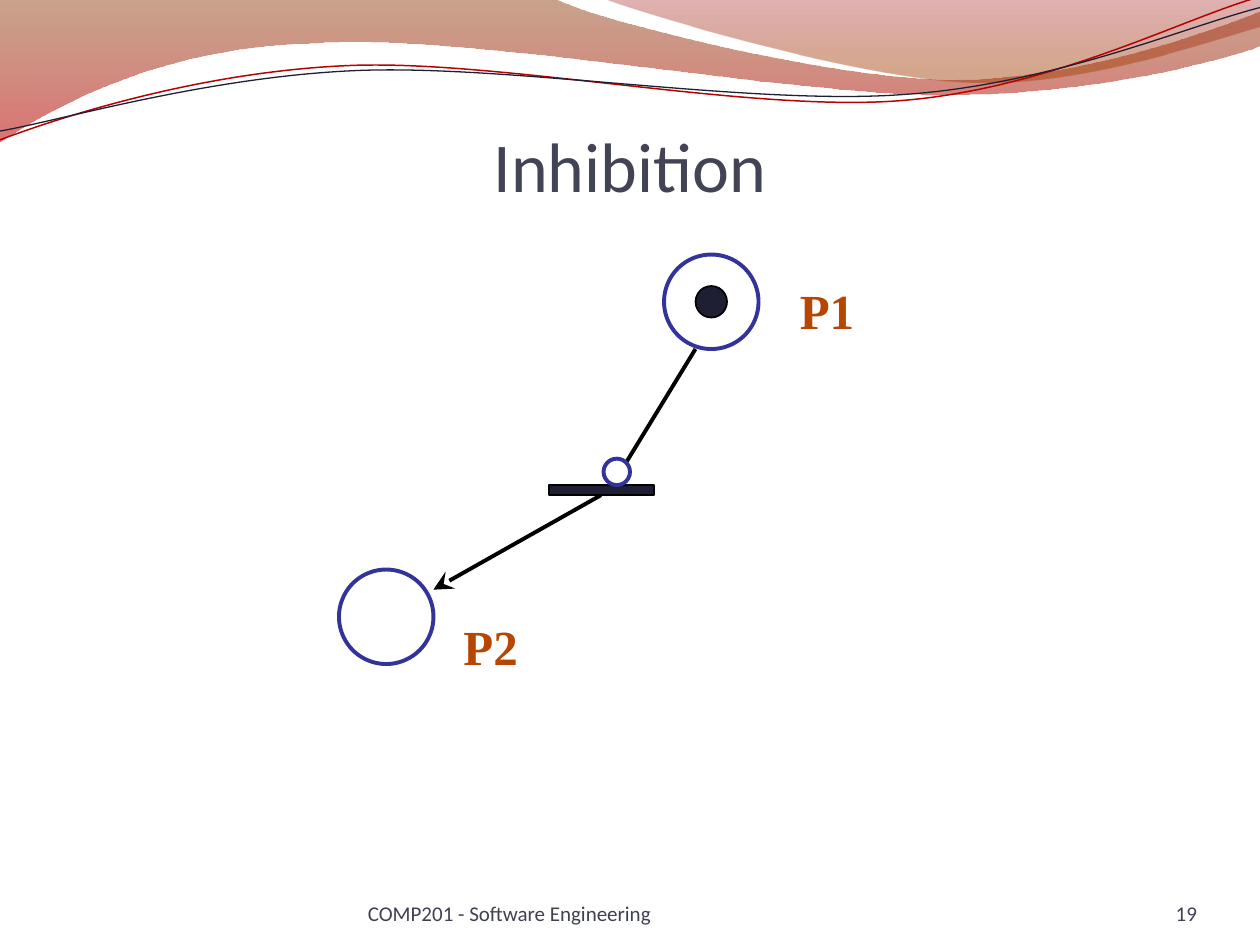
from math import cos, radians, sin

from lxml.etree import SubElement
from pptx import Presentation
from pptx.dml.color import RGBColor
from pptx.enum.shapes import MSO_CONNECTOR, MSO_SHAPE
from pptx.enum.text import MSO_ANCHOR, PP_ALIGN
from pptx.oxml.ns import qn
from pptx.util import Inches, Pt

INDIGO, NAVY, BLACK, WHITE = "333399", "1F1F33", "000000", "FFFFFF"
RUST, TITLE_GREY, FOOTER_GREY = "B54703", "424456", "3F4152"

# Outlines: two numbers are a straight step, six a Bezier curve.
# Gradient stops: position, colour, opacity in percent.
BANDS = [
    ([(0, 0), (4.4, -0.01), (4.76, 0.17, 6.64, 0.63, 7.58, 0.63),
      (8.53, 0.63, 9.58, 0.26, 10, 0.09), (10.01, 0.36),
      (9.83, 0.44, 8.7, 0.76, 7.46, 0.75), (6.22, 0.75, 3.82, 0.28, 2.57, 0.34),
      (1.29, 0.36, 0.46, 0.83, -0.01, 1.13), (0, 0)],
     [(0, "883400", 45), (1, "BD0000", 55)]),
    ([(4.79, -0.01), (5.09, 0.11, 6.82, 0.62, 7.69, 0.65),
      (8.56, 0.69, 9.61, 0.32, 10, 0.21), (10, 0), (4.79, -0.01)],
     [(0, "9A0000", 30), (0.8, "A23E00", 45)]),
]
# Waves: outline as seen, centre of rotation, colour, width.
WAVES = [
    ([(0, 1.11), (0.48, 0.93, 1.58, 0.57, 2.77, 0.52),
      (3.95, 0.47, 5.93, 0.89, 7.13, 0.8), (8.33, 0.71, 9.38, 0.15, 9.98, -0.02)],
     (4.99, 0.575), "B60202", 0.85),
    ([(0, 1.04), (0.47, 0.96, 1.64, 0.61, 2.83, 0.56),
      (4.03, 0.51, 5.97, 0.84, 7.17, 0.75), (8.36, 0.67, 9.41, 0.21, 10, 0.06)],
     (4.995, 0.59), NAVY, 0.75),
]
WAVE_TILT = -2.7

TITLE = "Inhibition"
FOOTERS = [
    ("COMP201 - Software Engineering", (2.92, 6.95, 3.67, 0.4), PP_ALIGN.LEFT),
    ("19", (8.67, 6.95, 0.83, 0.4), PP_ALIGN.RIGHT),
]
PLACES = [("P1", (5.27, 2.02), (6.25, 2.18)), ("P2", (2.69, 4.52), (3.58, 4.84))]
PLACE_SIZE = 0.75
TOKEN_SIZE = 0.25
TRANSITION = (4.36, 3.85, 0.83, 0.08)
INHIBITOR = (4.79, 3.64, 0.21, 0.21)
ARCS = [((5.52, 2.77), (4.86, 3.85)), ((4.77, 3.93), (3.44, 4.68))]


def rgb(value):
    return RGBColor.from_string(value)


def inches(values):
    return [Inches(value) for value in values]


def set_line(line, color, width):
    line.color.rgb = rgb(color)
    line.width = Pt(width)


def pairs(step):
    return list(zip(step[::2], step[1::2]))


def turn(step, center, degrees):
    """Rotate every point of a step clockwise about the center."""
    c, s = cos(radians(degrees)), sin(radians(degrees))
    turned = []
    for x, y in pairs(step):
        dx, dy = x - center[0], y - center[1]
        turned += [center[0] + dx * c - dy * s, center[1] + dx * s + dy * c]
    return tuple(turned)


def add_outline(shapes, outline, close):
    """Build a freeform through all points, then bend the six-number steps."""
    start, *steps = outline
    builder = shapes.build_freeform(*inches(start))
    builder.add_line_segments(
        [inches(point) for step in steps for point in pairs(step)], close=close)
    shape = builder.convert_to_shape()
    shape.shadow.inherit = False
    segments = iter(list(shape.element.spPr.iter(qn("a:lnTo"))))
    for step in steps:
        first, *others = [next(segments) for _ in pairs(step)]
        if others:
            curve = SubElement(first.getparent(), qn("a:cubicBezTo"))
            first.addprevious(curve)
            for segment in (first, *others):
                curve.append(segment[0])
                segment.getparent().remove(segment)
    return shape


def add_band(shapes, outline, stops):
    band = add_outline(shapes, outline, True)
    band.line.fill.background()
    band.fill.gradient()
    band.fill.gradient_angle = 270
    for stop, (position, color, _) in zip(band.fill.gradient_stops, stops):
        stop.position = position
        stop.color.rgb = rgb(color)
    colors = band.element.spPr.iter(qn("a:srgbClr"))
    for element, (_, _, opacity) in zip(colors, stops):
        SubElement(element, qn("a:alpha"), val=str(opacity * 1000))


def add_wave(shapes, outline, center, color, width):
    level = [turn(step, center, -WAVE_TILT) for step in outline]
    wave = add_outline(shapes, level, False)
    wave.rotation = WAVE_TILT
    wave.fill.background()
    set_line(wave.line, color, width)


def add_node(shapes, kind, box, fill, color, width):
    node = shapes.add_shape(kind, *inches(box))
    node.shadow.inherit = False
    if fill:
        node.fill.solid()
        node.fill.fore_color.rgb = rgb(fill)
    else:
        node.fill.background()
    set_line(node.line, color, width)


def add_arc(shapes, start, end):
    arc = shapes.add_connector(MSO_CONNECTOR.STRAIGHT, *inches(start + end))
    set_line(arc.line, BLACK, 2.25)
    outline = arc.element.spPr.find(qn("a:ln"))
    SubElement(outline, qn("a:tailEnd"), type="stealth", w="lg", len="lg")
    SubElement(arc.element.spPr, qn("a:effectLst"))


def write(frame, text, size, font, color, align=PP_ALIGN.LEFT, bold=False):
    frame.text = text
    paragraph = frame.paragraphs[0]
    paragraph.alignment = align
    paragraph.font.size = Pt(size)
    paragraph.font.name = font
    paragraph.font.bold = bold
    paragraph.font.color.rgb = rgb(color)


def set_insets(frame, top):
    frame.margin_left = frame.margin_right = frame.margin_bottom = 0
    frame.margin_top = Inches(top)
    frame.vertical_anchor = MSO_ANCHOR.BOTTOM
    frame.word_wrap = True


def main():
    prs = Presentation()
    prs.slide_width, prs.slide_height = Inches(10), Inches(7.5)
    slide = prs.slides.add_slide(prs.slide_layouts[5])
    shapes = slide.shapes

    for band in BANDS:
        add_band(shapes, *band)
    for wave in WAVES:
        add_wave(shapes, *wave)

    title = shapes.title
    title.left, title.top, title.width, title.height = inches((0.5, 0.77, 9, 0.87))
    set_insets(title.text_frame, 0.05)
    write(title.text_frame, TITLE, 40, "Calibri", TITLE_GREY, PP_ALIGN.CENTER)

    for text, box, align in FOOTERS:
        footer = shapes.add_textbox(*inches(box)).text_frame
        set_insets(footer, 0)
        write(footer, text, 12, "Calibri", FOOTER_GREY, align)

    for name, corner, label_corner in PLACES:
        add_node(shapes, MSO_SHAPE.OVAL, (*corner, PLACE_SIZE, PLACE_SIZE),
                 None, INDIGO, 2.25)
        label = shapes.add_textbox(*inches((*label_corner, 0.67, 0.57))).text_frame
        label.word_wrap = True
        write(label, name, 28, "Times New Roman", RUST, bold=True)

    add_node(shapes, MSO_SHAPE.RECTANGLE, TRANSITION, NAVY, BLACK, 1)
    for arc in ARCS:
        add_arc(shapes, *arc)
    add_node(shapes, MSO_SHAPE.OVAL, INHIBITOR, WHITE, INDIGO, 2.25)

    marked_corner = PLACES[0][1]
    inset = (PLACE_SIZE - TOKEN_SIZE) / 2
    token = [edge + inset for edge in marked_corner] + [TOKEN_SIZE] * 2
    add_node(shapes, MSO_SHAPE.OVAL, token, NAVY, BLACK, 1)

    prs.save("out.pptx")


if __name__ == "__main__":
    main()
